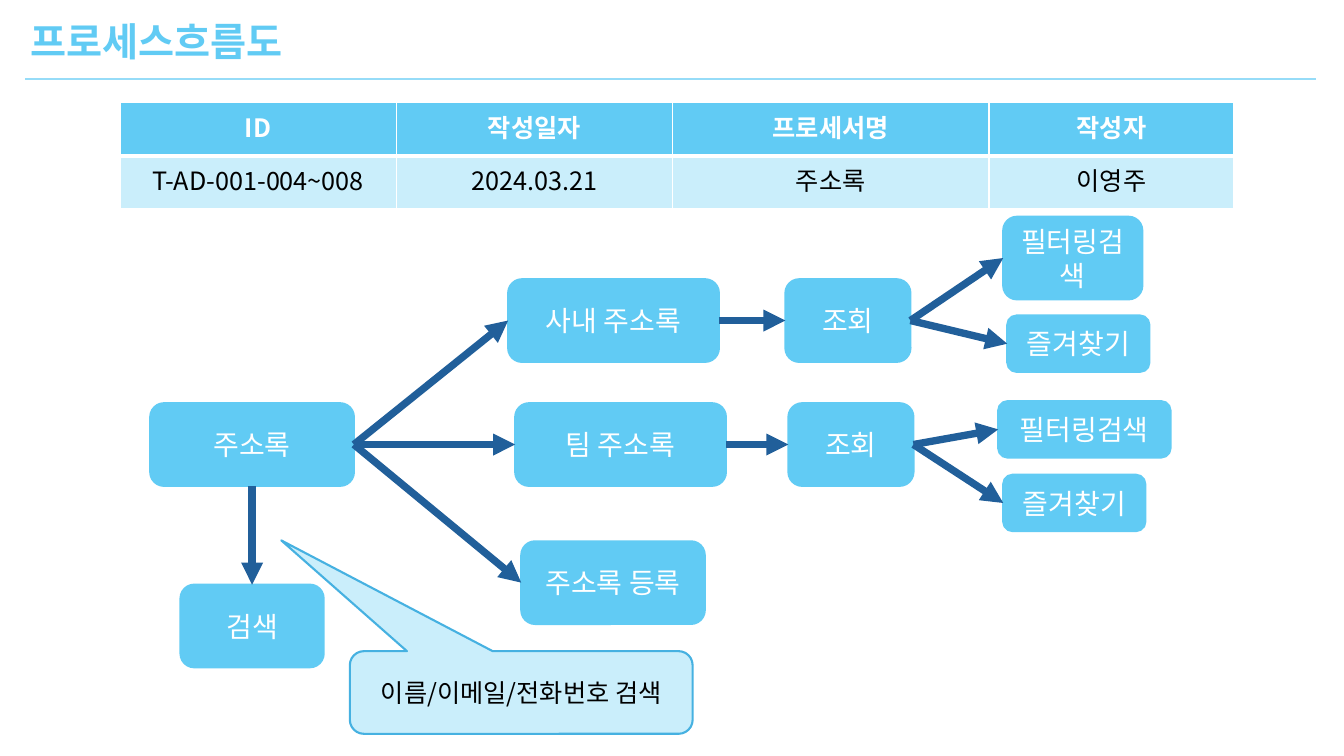
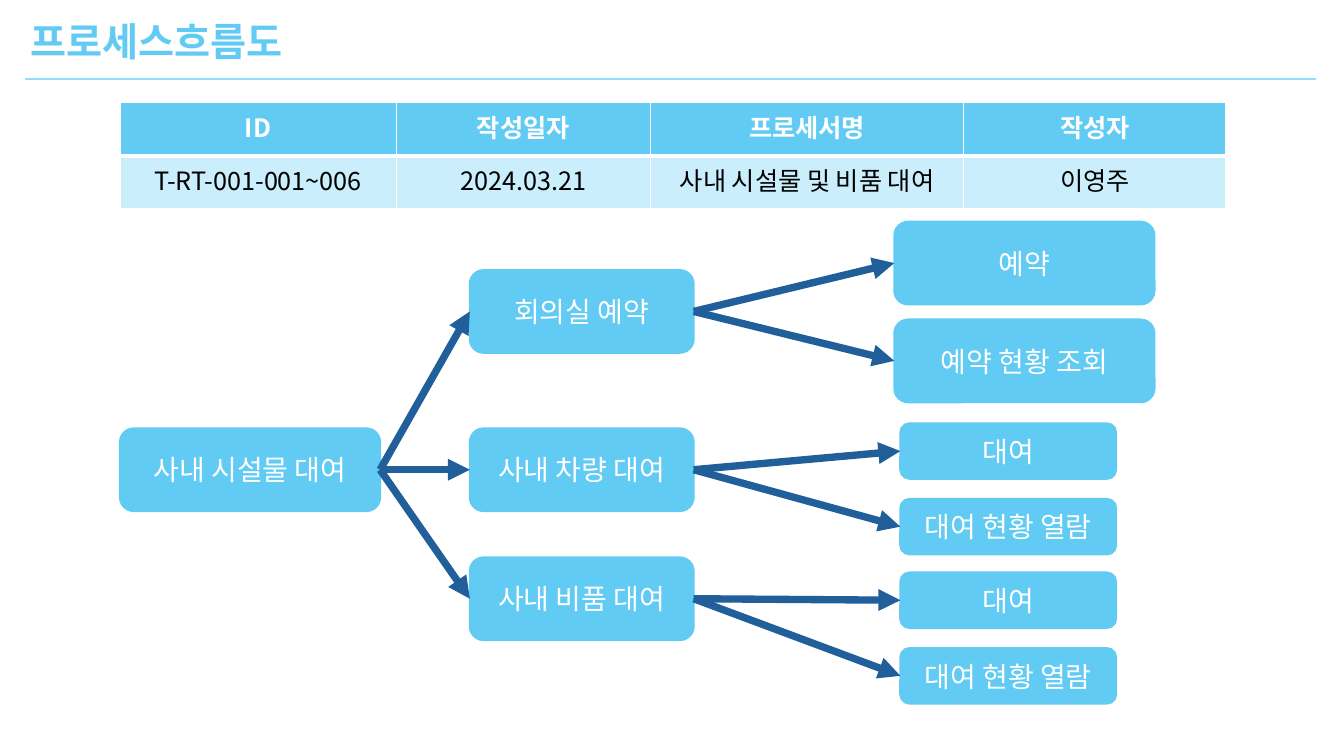
"""Process flow charts for the address book and the facility rental."""
from dataclasses import dataclass

from lxml import etree
from pptx import Presentation
from pptx.dml import color
from pptx.enum import shapes, text
from pptx.oxml import ns
from pptx.util import Emu, Pt

PX = 9144
HEADS = ("ID", "작성일자", "프로세서명", "작성자")


@dataclass(frozen=True)
class Theme:
    """Colours, font and type sizes of the deck."""
    main: str = "61CBF4"
    pale: str = "CAEEFB"
    edge: str = "46B1E1"
    rule: str = "96DCF8"
    arrow: str = "215F9A"
    white: str = "FFFFFF"
    black: str = "000000"
    font: str = "Noto Sans CJK KR"
    title: int = 28
    node: int = 20
    body: int = 18


def px(*nums):
    """Turn px into EMU."""
    return [Emu(n * PX) for n in nums]


def rgb(tone):
    """Give the colour for a hex string."""
    return color.RGBColor.from_string(tone)


class Deck:
    """Holds the style and the current slide."""

    def __init__(self, theme):
        """Start an empty wide deck."""
        self.theme = theme
        self.show = Presentation()
        self.show.slide_width, self.show.slide_height = px(1333, 750)
        self.slide = None

    def page(self, title):
        """Add a slide with its title and rule."""
        t = self.theme
        self.slide = self.show.slides.add_slide(self.show.slide_layouts[6])
        self.line(25, 78, 1305, 78, t.rule, 1.5)
        frame = self.slide.shapes.add_textbox(*px(20, 12, 295, 57)).text_frame
        frame.word_wrap = False
        frame.auto_size = text.MSO_AUTO_SIZE.SHAPE_TO_FIT_TEXT
        self.label(frame, title, t.title, t.main, True, text.PP_ALIGN.LEFT)

    def label(self, frame, words, size, tone, bold=False, align=text.PP_ALIGN.CENTER):
        """Put one run of text into a frame."""
        para = frame.paragraphs[0]
        para.alignment = align
        run = para.add_run()
        run.text = words
        font = run.font
        font.size, font.bold, font.name = Pt(size), bold, self.theme.font
        font.color.rgb = rgb(tone)
        east = etree.SubElement(run._r.get_or_add_rPr(), ns.qn("a:ea"))
        east.set("typeface", self.theme.font)

    def line(self, x1, y1, x2, y2, tone, width):
        """Draw a straight line without shadow."""
        line = self.slide.shapes.add_connector(
            shapes.MSO_CONNECTOR.STRAIGHT, *px(x1, y1, x2, y2))
        line.line.color.rgb = rgb(tone)
        line.line.width = Pt(width)
        etree.SubElement(line.element.spPr, ns.qn("a:effectLst"))
        return line

    def link(self, start, end, down=False):
        """Join two boxes with an arrow, rightward or down."""
        line = self.line(0, 0, 0, 0, self.theme.arrow, 5.25)
        line.begin_connect(start, 2 if down else 3)
        line.end_connect(end, 0 if down else 1)
        edge = line.element.spPr.find(ns.qn("a:ln"))
        etree.SubElement(edge, ns.qn("a:tailEnd")).set("type", "triangle")

    def shape(self, kind, at, fill, edge):
        """Add a filled shape with an outline."""
        shape = self.slide.shapes.add_shape(kind, *px(*at))
        shape.shadow.inherit = False
        shape.fill.solid()
        shape.fill.fore_color.rgb = rgb(fill)
        shape.line.color.rgb = rgb(edge)
        shape.line.width = Pt(1.5)
        shape.text_frame.vertical_anchor = text.MSO_ANCHOR.MIDDLE
        return shape

    def node(self, words, x, y, w, h=82, root=None, down=False):
        """Add a flow box, linked from its root if it has one."""
        t = self.theme
        box = self.shape(shapes.MSO_SHAPE.ROUNDED_RECTANGLE, (x, y, w, h), t.main, t.main)
        self.label(box.text_frame, words, t.node, t.white)
        if root is not None:
            self.link(root, box, down)
        return box

    def note(self, words, at, tip):
        """Add a callout whose tip is set by its adjustments."""
        t = self.theme
        note = self.shape(
            shapes.MSO_SHAPE.ROUNDED_RECTANGULAR_CALLOUT, at, t.pale, t.edge)
        for i, share in enumerate(tip):
            note.adjustments[i] = share
        self.label(note.text_frame, words, t.body, t.black)

    def cell(self, cell, words, head):
        """Fill one table cell and rule its edges."""
        t = self.theme
        heavy = "B" if head else "T"
        for side in "LRTB":
            edge = etree.SubElement(cell._tc.get_or_add_tcPr(), ns.qn("a:ln" + side))
            edge.set("w", str(Pt(3 if side == heavy else 1)))
            fill = etree.SubElement(edge, ns.qn("a:solidFill"))
            etree.SubElement(fill, ns.qn("a:srgbClr")).set("val", t.white)
        cell.fill.solid()
        cell.fill.fore_color.rgb = rgb(t.main if head else t.pale)
        self.label(cell.text_frame, words, t.body, t.white if head else t.black, head)

    def table(self, widths, facts):
        """Add the table of facts under the title."""
        table = self.slide.shapes.add_table(
            2, len(widths), *px(119, 102, sum(widths), 105)).table
        for i, width in enumerate(px(*widths)):
            table.columns[i].width = width
            self.cell(table.cell(0, i), HEADS[i], True)
            self.cell(table.cell(1, i), facts[i], False)


def book(deck):
    """Build the address book flow."""
    deck.page("프로세스흐름도")
    deck.table((274, 274, 314, 243), ("T-AD-001-004~008", "2024.03.21", "주소록", "이영주"))
    root = deck.node("주소록", 149, 400, 202)
    lists = (
        ("사내 주소록", 504, 277, 779, ((995, 215, 138, 82), (999, 313, 141, 56))),
        ("팀 주소록", 511, 400, 782, ((990, 398, 171, 56), (995, 471, 141, 56))),
    )
    for name, x, y, view, ends in lists:
        group = deck.node(name, x, y, 209, root=root)
        look = deck.node("조회", view, y, 124, root=group)
        for words, at in zip(("필터링검색", "즐겨찾기"), ends):
            deck.node(words, *at, root=look)
    deck.node("주소록 등록", 517, 537, 182, root=root)
    deck.node("검색", 179, 580, 142, root=root, down=True)
    deck.note("이름/이메일/전화번호 검색", (347, 646, 340, 82), (-0.7, -1.84, 0.17))


def rent(deck):
    """Build the facility rental flow."""
    deck.page("프로세스흐름도")
    deck.table((274, 252, 311, 260),
               ("T-RT-001-001~006", "2024.03.21", "사내 시설물 및 비품 대여", "이영주"))
    root = deck.node("사내 시설물 대여", 119, 425, 258)
    loan = ("대여", "대여 현황 열람")
    groups = (
        ("회의실 예약", 268, ("예약", "예약 현황 조회"), (887, 220, 258, 82), 97),
        ("사내 차량 대여", 425, loan, (893, 420, 214, 55), 75),
        ("사내 비품 대여", 553, loan, (893, 568, 214, 55), 75),
    )
    for name, y, ends, (left, top, w, h), step in groups:
        group = deck.node(name, 466, y, 222, root=root)
        for i, words in enumerate(ends):
            deck.node(words, left, top + i * step, w, h, root=group)


def main():
    """Build and save the deck."""
    deck = Deck(Theme())
    book(deck)
    rent(deck)
    deck.show.save("out.pptx")


if __name__ == "__main__":
    main()
